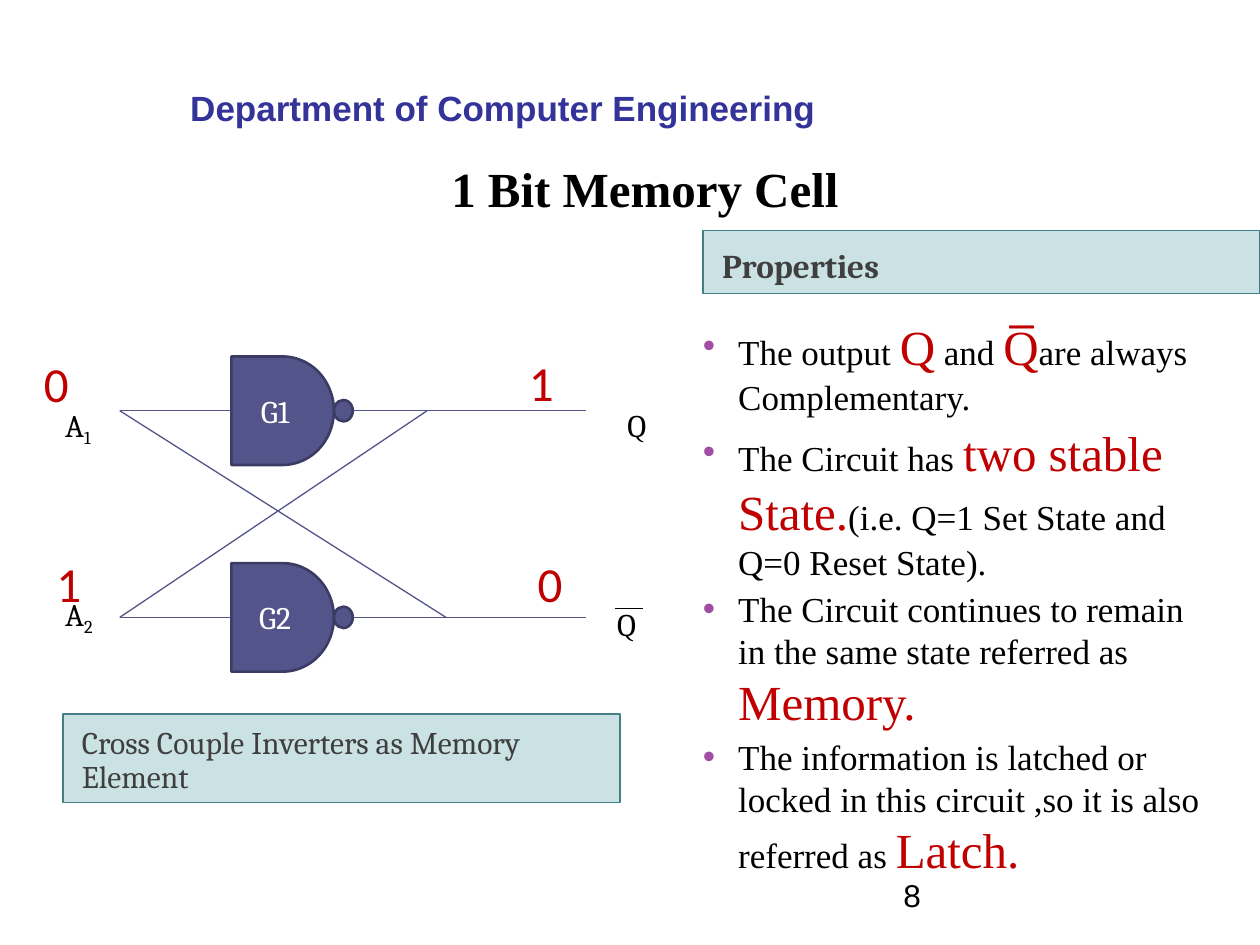
"""Build the slide on the 1 bit memory cell made of two cross-coupled gates."""
from lxml.etree import SubElement
from pptx import Presentation
from pptx.dml.color import RGBColor
from pptx.enum.shapes import MSO_CONNECTOR as Link, MSO_SHAPE as Shape
from pptx.enum.text import MSO_ANCHOR as Anchor, PP_ALIGN as Align
from pptx.oxml.ns import qn
from pptx.util import Pt

rgb = RGBColor.from_string
SERIF, CAMBRIA = "Times New Roman", "Cambria"
INK, RED, GRAY = "000000", "C00000", "3F3F3F"
VIOLET, EDGE = "53548A", "3B3B64"
TEAL, TEAL_EDGE = "328E97", "438086"


def write(box, spans, color, para=None, **font):
    """Add spans of (text, format overrides) to a paragraph of the box."""
    para = para or box.text_frame.paragraphs[0]
    for text, extra in spans:
        span = para.add_run()
        span.text = text
        values = {"color": color, **font, **extra}
        span.font.color.rgb = rgb(values.pop("color"))
        for name, value in values.items():
            setattr(span.font, name, value)
    return para


def line(x1, y1, x2, y2, color=VIOLET):
    """Draw a thin line without a shadow."""
    wire = page.shapes.add_connector(Link.STRAIGHT, Pt(x1), Pt(y1), Pt(x2), Pt(y2))
    wire.line.color.rgb = rgb(color)
    wire.line.width = Pt(0.75)
    SubElement(wire._element.spPr, qn("a:effectLst"))
    return wire


deck = Presentation()
deck.slide_width, deck.slide_height = Pt(720), Pt(540)
page = deck.slides.add_slide(deck.slide_layouts[6])

title = page.shapes.add_textbox(Pt(38.5), Pt(65.5), Pt(660), Pt(84.25))
title.text_frame.word_wrap = True
title.text_frame.vertical_anchor = Anchor.MIDDLE
write(title, [("1 Bit Memory Cell", {})], INK, name=SERIF, size=Pt(28), bold=True).alignment = Align.CENTER

for text, left, top, height, size, bold, spacing in (
    ("Cross Couple Inverters as Memory Element", 36, 408.2, 50.4, 18, False, 0.9),
    ("Properties", 401.8, 131.8, 36, 19, True, 1),
):
    panel = page.shapes.add_shape(Shape.RECTANGLE, Pt(left), Pt(top), Pt(318.2), Pt(height))
    panel.shadow.inherit = False
    panel.fill.solid()
    panel.fill.fore_color.rgb = rgb(TEAL)
    tint = panel._element.spPr.find(qn("a:solidFill")).find(qn("a:srgbClr"))
    SubElement(tint, qn("a:alpha"), val="25000")
    panel.line.color.rgb = rgb(TEAL_EDGE)
    panel.line.width = Pt(1)
    frame = panel.text_frame
    frame.vertical_anchor = Anchor.MIDDLE
    frame.margin_left, frame.margin_top = Pt(10.8), Pt(6.6)
    para = write(panel, [(text, {})], GRAY, name=CAMBRIA, size=Pt(size), bold=bold)
    para.alignment = Align.LEFT
    para.line_spacing = spacing

key = {"color": RED, "size": Pt(28)}
points = (
    [("The output ", {}), ("Q", key), (" and ", {}), ("Q̅̅", key), ("are always Complementary.", {})],
    [("The Circuit has ", {}), ("two stable State.", key),
     ("(i.e. Q=1 Set State and Q=0 Reset State).", {})],
    [("The Circuit continues to remain in the same state referred as ", {}), ("Memory.", key)],
    [("The information is latched or locked in this circuit ,so it is also referred as ", {}),
     ("Latch.", key)],
)
body = page.shapes.add_textbox(Pt(385.9), Pt(177.2), Pt(318.2), Pt(322))
body.text_frame.word_wrap = True
for index, spans in enumerate(points):
    para = body.text_frame.add_paragraph() if index else body.text_frame.paragraphs[0]
    props = para._p.get_or_add_pPr()
    props.set("marL", str(Pt(28.8)))
    props.set("indent", str(Pt(-20.16)))
    SubElement(SubElement(props, qn("a:buClr")), qn("a:srgbClr"), val="A04DA3")
    SubElement(props, qn("a:buFont"), typeface="Arial")
    SubElement(props, qn("a:buChar"), char="•")
    para.space_before = Pt(3 if index else 0)
    write(body, spans, INK, para, name=SERIF, size=Pt(20))

top_wire, bottom_wire = 234.7, 352.8
for label, middle in (("G1", top_wire), ("G2", bottom_wire)):
    gate = page.shapes.add_shape(Shape.FLOWCHART_DELAY, Pt(132.2), Pt(middle - 31), Pt(58.6), Pt(62))
    bubble = page.shapes.add_shape(Shape.OVAL, Pt(190.8), Pt(middle - 6.1), Pt(10.8), Pt(12.2))
    for part in (gate, bubble):
        part.shadow.inherit = False
        part.fill.solid()
        part.fill.fore_color.rgb = rgb(VIOLET)
        part.line.color.rgb = rgb(EDGE)
        part.line.width = Pt(1.5)
    gate.text_frame.vertical_anchor = Anchor.MIDDLE
    write(gate, [(label, {})], "FFFFFF", name=CAMBRIA, size=Pt(18)).alignment = Align.CENTER
    line(68.4, middle, 132.2, middle).end_connect(gate, 1)
    line(201.6, middle, 334.8, middle)
line(68.4, bottom_wire, 244.1, top_wire)
line(68.4, top_wire, 254.9, bottom_wire)
line(351.4, 347.8, 367.2, 347.8, INK)

for text, digit, left, top in (
    ("A", "1", 30.2, 228.2), ("A", "2", 30.2, 336.2), ("Q", "", 351.4, 228.2), ("Q", "", 345.6, 342),
):
    label = page.shapes.add_textbox(Pt(left), Pt(top), Pt(36), Pt(29.5))
    label.text_frame.word_wrap = True
    para = write(label, [(part, {}) for part in (text, digit) if part], INK, name=CAMBRIA, size=Pt(18))
    for span in para.runs[1:]:
        span.font._element.set("baseline", "-25000")

for text, left, top in (("0", 18, 198.7), ("1", 295.2, 198), ("1", 25.2, 312.5), ("0", 300.2, 312.5)):
    bit = page.shapes.add_textbox(Pt(left), Pt(top), Pt(28.8), Pt(41))
    bit.text_frame.word_wrap = False
    write(bit, [(text, {})], RED, name="Calibri", size=Pt(28))

for text, left, top, width, height, color, font in (
    ("8", 516.2, 500.4, 167.8, 28.8, INK, {"size": Pt(18)}),
    ("Department of Computer Engineering", 108.7, 49.2, 358, 25, "333399", {"size": Pt(20), "bold": True}),
):
    box = page.shapes.add_textbox(Pt(left), Pt(top), Pt(width), Pt(height))
    frame = box.text_frame
    frame.word_wrap = True
    for side in ("left", "top", "right", "bottom"):
        setattr(frame, f"margin_{side}", 0)
    write(box, [(text, {})], color, name="Arial", **font)

deck.save("out.pptx")
